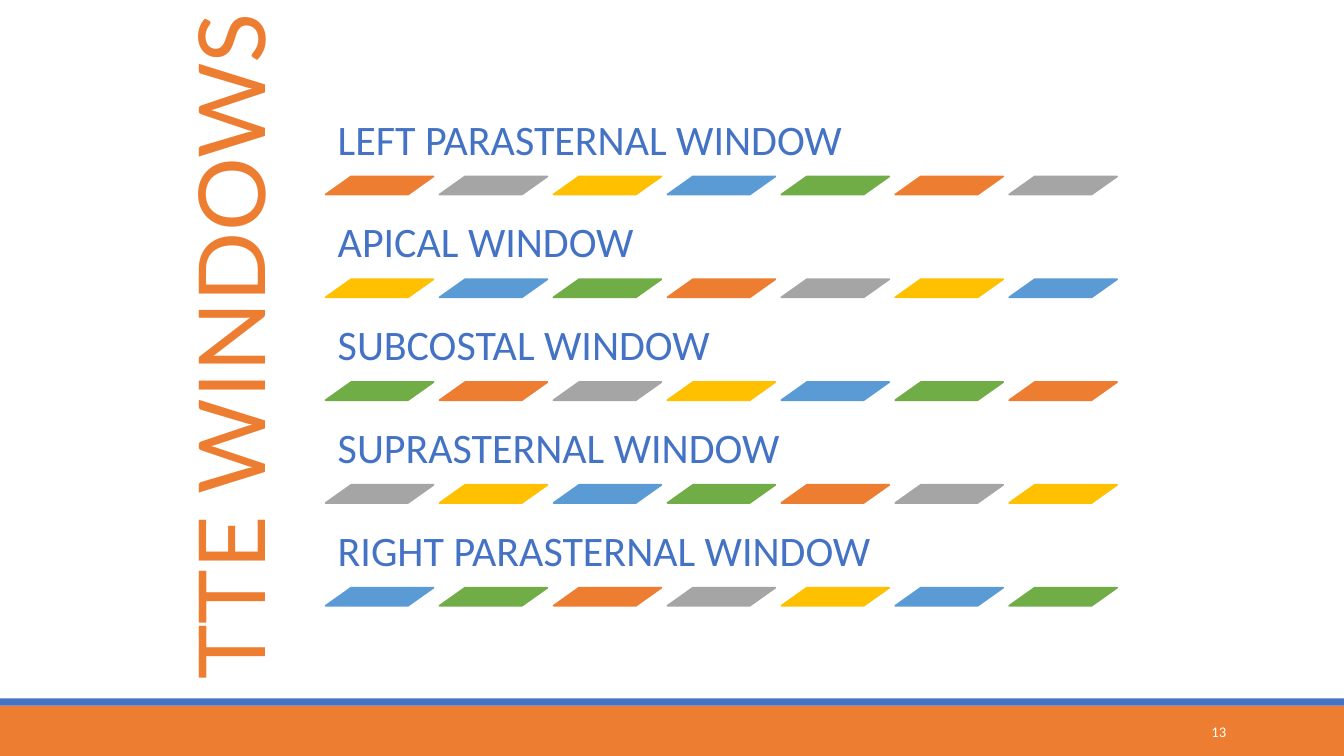
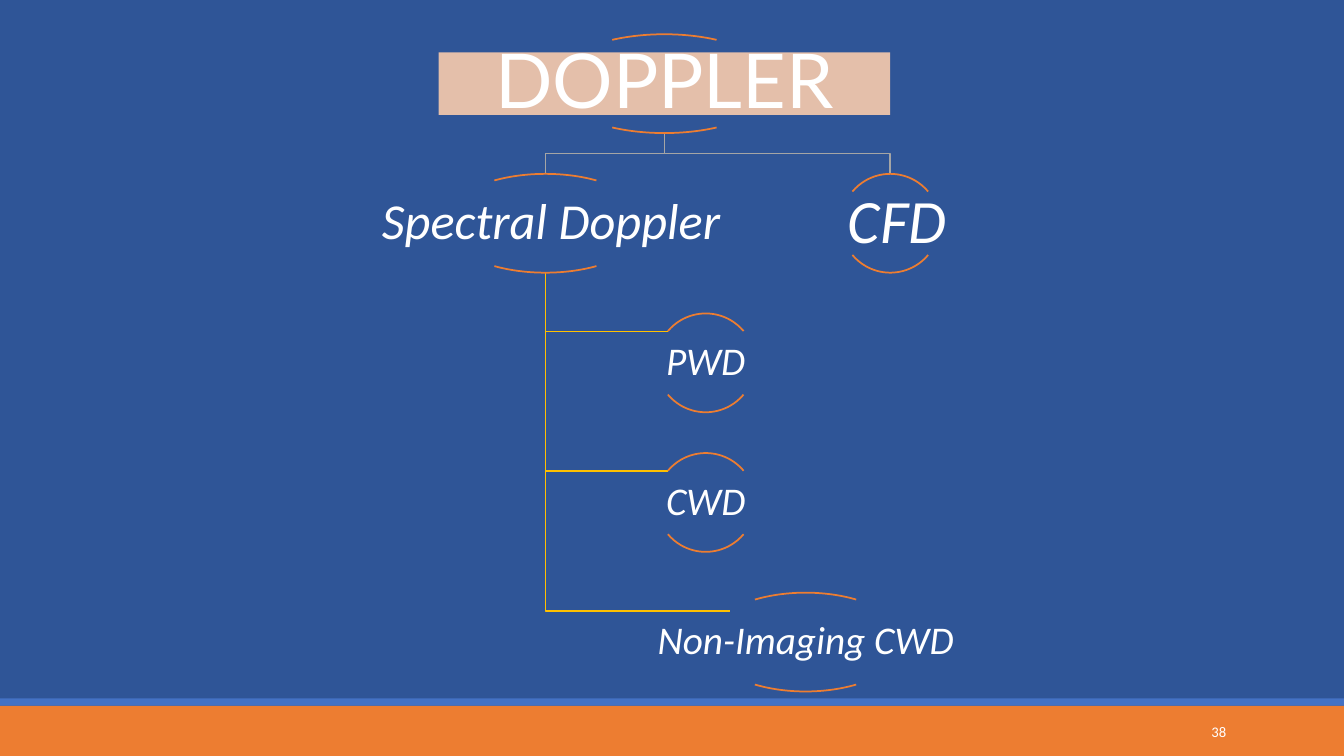
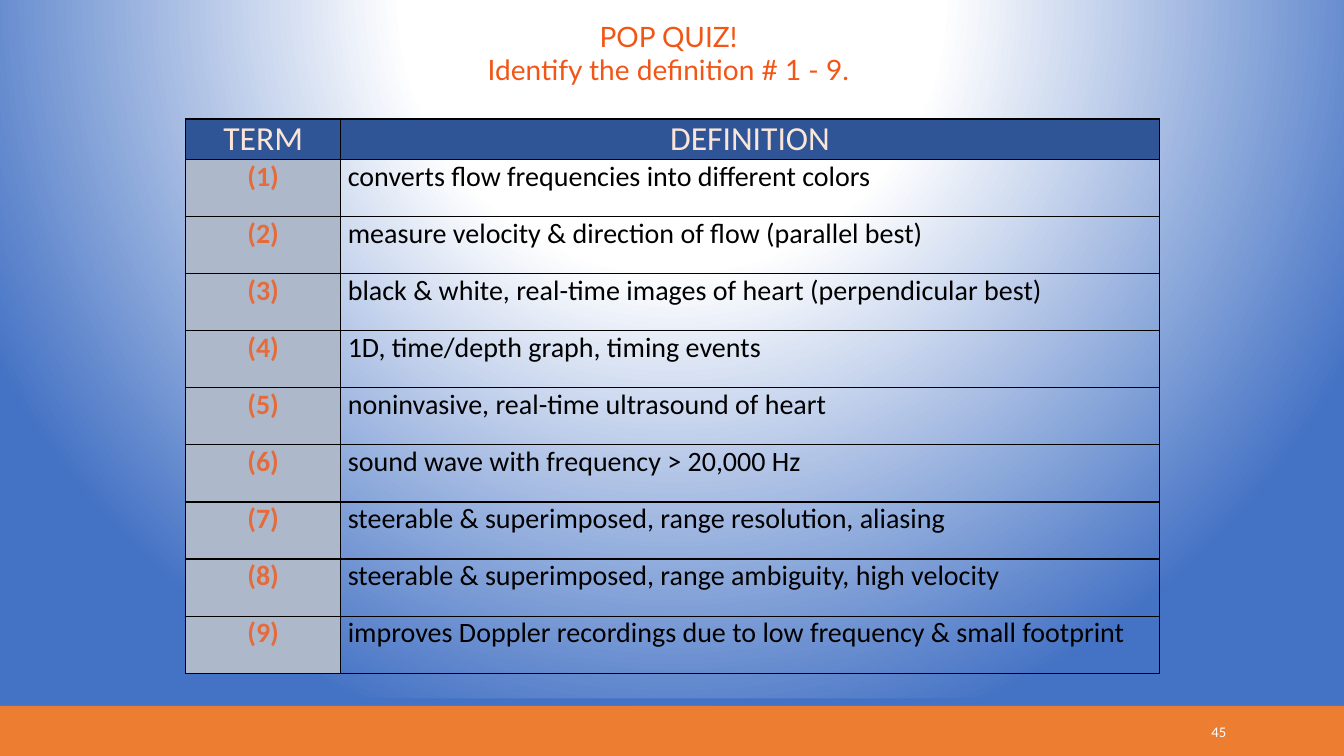
from dataclasses import dataclass

from pptx import Presentation
from pptx import util as u
from pptx.dml.color import RGBColor
from pptx.enum import shapes, text
from pptx.oxml import parse_xml
from pptx.oxml.ns import nsdecls, qn

PRESET = shapes.MSO_SHAPE
ALIGN = text.PP_ALIGN
ANCHOR = text.MSO_ANCHOR


@dataclass(frozen=True)
class Theme:
    # Colours
    white: str = "FFFFFF"
    black: str = "000000"
    orange: str = "ED7D31"
    gray: str = "A5A5A5"
    yellow: str = "FFC000"
    sky: str = "5B9BD5"
    green: str = "70AD47"
    blue: str = "4472C4"
    navy: str = "2F5597"
    peach: str = "F8CBAD"
    cream: str = "FBE5D6"
    slate: str = "ADB9CA"
    term: str = "E66B3A"
    quiz: str = "F25516"
    # Fonts and type sizes
    title_font: str = "Lato"
    body_font: str = "Calibri"
    title: float = 66
    root: float = 54
    window: float = 30
    leaf: float = 28
    table_head: float = 24
    table_body: float = 20
    quiz_title: float = 20
    number: float = 10.5
    line: float = 1.25


T = Theme()

WINDOWS = ["LEFT PARASTERNAL WINDOW", "APICAL WINDOW", "SUBCOSTAL WINDOW",
           "SUPRASTERNAL WINDOW", "RIGHT PARASTERNAL WINDOW"]

DEFINITIONS = [
    "converts flow frequencies into different colors",
    "measure velocity & direction of flow (parallel best)",
    "black & white, real-time images of heart (perpendicular best)",
    "1D, time/depth graph, timing events",
    "noninvasive, real-time ultrasound of heart",
    "sound wave with frequency > 20,000 Hz",
    "steerable & superimposed, range resolution, aliasing",
    "steerable & superimposed, range ambiguity, high velocity",
    "improves Doppler recordings due to low frequency & small footprint",
]


# Basic elements

def rgb(value):
    return RGBColor.from_string(value)


def inches(*lengths):
    return [u.Inches(length) for length in lengths]


def apply(target, values):
    for name, value in values.items():
        setattr(target, name, value)


def write(paragraph, words, size, color, font=T.body_font, align=ALIGN.LEFT,
          spacing=None, **emphasis):
    apply(paragraph, {"alignment": align, "line_spacing": spacing})
    run = paragraph.add_run()
    run.text = words
    apply(run.font, {"size": u.Pt(size), "name": font, **emphasis})
    run.font.color.rgb = rgb(color)


def add_text(slide, box, lines, size, color, inset=(0.1, 0.05),
             anchor=ANCHOR.TOP, **style):
    label = slide.shapes.add_textbox(*inches(*box))
    frame = label.text_frame
    across, down = inches(*inset)
    apply(frame, {"word_wrap": True, "vertical_anchor": anchor,
                  "margin_left": across, "margin_right": across,
                  "margin_top": down, "margin_bottom": down})
    for i, words in enumerate(lines):
        paragraph = frame.add_paragraph() if i else frame.paragraphs[0]
        write(paragraph, words, size, color, **style)
    return label


def paint(shape, fill=None, line=None):
    shape.shadow.inherit = False
    if fill:
        shape.fill.solid()
        shape.fill.fore_color.rgb = rgb(fill)
    else:
        shape.fill.background()
    if line:
        shape.line.color.rgb = rgb(line)
        shape.line.width = u.Pt(T.line)
    else:
        shape.line.fill.background()


def add_preset(slide, preset, box, fill=None, line=None, adjust=()):
    shape = slide.shapes.add_shape(preset, *inches(*box))
    for i, value in enumerate(adjust):
        shape.adjustments[i] = value
    paint(shape, fill, line)
    return shape


def add_route(slide, points, color):
    start, *rest = [inches(*point) for point in points]
    builder = slide.shapes.build_freeform(*start)
    builder.add_line_segments(rest, close=False)
    paint(builder.convert_to_shape(), line=color)


# Shared frame of every slide

def new_slide(deck, number, background=None):
    slide = deck.slides.add_slide(deck.slide_layouts[6])
    if background:
        fill = slide.background.fill
        fill.solid()
        fill.fore_color.rgb = rgb(background)
    add_preset(slide, PRESET.RECTANGLE, (0, 7, 13.33, 0.5), T.orange)
    add_preset(slide, PRESET.RECTANGLE, (0, 6.93, 13.33, 0.07), T.blue)
    add_text(slide, (10.83, 7.06, 1.43, 0.4), [str(number)], T.number,
             T.white, anchor=ANCHOR.MIDDLE, align=ALIGN.RIGHT)
    return slide


# Slide of the echo windows

def windows_slide(deck):
    slide = new_slide(deck, 13, T.white)
    accents = [T.orange, T.gray, T.yellow, T.sky, T.green]
    left, pitch, label_height = 3.23, 1.02, 0.73
    for row, window in enumerate(WINDOWS):
        top = pitch * (row + 1)
        add_text(slide, (left, top, 8, label_height), [window], T.window,
                 T.blue, inset=(0.12, 0.12), anchor=ANCHOR.BOTTOM, spacing=0.9)
        for column in range(7):
            accent = accents[(2 * row + column) % len(accents)]
            add_preset(slide, PRESET.PARALLELOGRAM,
                       (left + 1.13 * column, top + label_height, 1.07, 0.18),
                       accent, accent, [1.41])
    title = add_text(slide, (-1.17, 2.83, 6.88, 1.21), ["TTE WINDOWS"],
                     T.title, T.orange, font=T.title_font, align=ALIGN.CENTER)
    title.rotation = 270


# Slide of the Doppler tree

ARC_HEIGHT = 0.98
LABEL_DROP = 0.18


def level_top(level):
    return 0.34 + 1.385 * level


def add_node(slide, words, center, level, arc_width, size, plate=None, **style):
    top = level_top(level)
    for sweep in ((132, 192), (24, 84)):
        add_preset(slide, PRESET.ARC,
                   (center - arc_width / 2, top, arc_width, ARC_HEIGHT),
                   line=T.orange, adjust=sweep)
    box = (center - arc_width, top + LABEL_DROP, 2 * arc_width, 0.62)
    if plate:
        backing = add_preset(slide, PRESET.RECTANGLE, box, plate)
        tint = backing.fill._xPr.find(qn("a:solidFill"))[0]
        tint.append(parse_xml(f'<a:alpha {nsdecls("a")} val="90000"/>'))
    add_text(slide, box, [words], size, T.white, inset=(0.03, 0.03),
             anchor=ANCHOR.MIDDLE, align=ALIGN.CENTER, spacing=0.9, **style)


def doppler_slide(deck):
    slide = new_slide(deck, 38, T.navy)
    root, spectral, color_flow = 6.59, 5.41, 8.83
    root_foot = level_top(0) + ARC_HEIGHT
    spectral_foot = level_top(1) + ARC_HEIGHT
    bend = (root_foot + level_top(1)) / 2
    leaves = [("PWD", 7, 2, 0.98), ("CWD", 7, 3, 0.98),
              ("Non-Imaging CWD", 7.99, 4, 1.97)]

    # Branches
    def branch(center):
        add_route(slide, [(root, root_foot), (root, bend), (center, bend),
                          (center, level_top(1))], T.gray)

    branch(color_flow)
    for _, center, level, arc_width in reversed(leaves):
        joint = level_top(level) + LABEL_DROP
        add_route(slide, [(spectral, spectral_foot), (spectral, joint),
                          (center - 0.38 * arc_width, joint)], T.yellow)
    branch(spectral)

    # Nodes
    add_node(slide, "DOPPLER", root, 0, 2.24, T.root, T.peach,
             font=T.title_font)
    add_node(slide, " Spectral Doppler", spectral, 1, 2.03, 36, italic=True)
    for words, center, level, arc_width in leaves:
        add_node(slide, words, center, level, arc_width, T.leaf, italic=True)
    add_node(slide, " CFD", color_flow, 1, 0.98, 44, italic=True)


# Slide of the quiz table

def glow_background(slide):
    stops = "".join(
        f'<a:gs pos="{place * 1000}"><a:srgbClr val="{color}"/></a:gs>'
        for place, color in ((0, T.white), (35, T.white), (100, T.blue)))
    slide.background.fill.solid()
    solid = slide.element.find(".//" + qn("p:bgPr")).find(qn("a:solidFill"))
    solid.getparent().replace(solid, parse_xml(
        f'<a:gradFill {nsdecls("a")} rotWithShape="1"><a:gsLst>{stops}</a:gsLst>'
        '<a:path path="circle"><a:fillToRect l="50000" t="-80000" r="50000"'
        ' b="180000"/></a:path></a:gradFill>'))


def add_borders(cell, top_width):
    widths = {"lnL": 1, "lnR": 1, "lnT": top_width, "lnB": 1}
    for i, (side, width) in enumerate(widths.items()):
        cell._tc.get_or_add_tcPr().insert(i, parse_xml(
            f'<a:{side} {nsdecls("a")} w="{u.Pt(width)}"><a:solidFill>'
            f'<a:srgbClr val="{T.black}"/></a:solidFill></a:{side}>'))


def fill_cell(cell, words, fill=None, top_width=1, **style):
    across = u.Inches(0.07)
    apply(cell, {"margin_left": across, "margin_right": across,
                 "margin_top": 0, "margin_bottom": 0})
    if fill:
        cell.fill.solid()
        cell.fill.fore_color.rgb = rgb(fill)
    else:
        cell.fill.background()
    add_borders(cell, top_width)
    write(cell.text_frame.paragraphs[0], words, **style)


def quiz_slide(deck):
    slide = new_slide(deck, 45)
    glow_background(slide)
    head_height, row_height = 0.4, 5.1 / len(DEFINITIONS)
    quiz = slide.shapes.add_table(len(DEFINITIONS) + 1, 2,
                                  *inches(1.84, 1.18, 9.66, 5.5)).table
    apply(quiz, {"first_row": False, "horz_banding": False})
    for column, width in zip(quiz.columns, (1.54, 8.12)):
        column.width = u.Inches(width)
    for i, row in enumerate(quiz.rows):
        row.height = u.Inches(row_height if i else head_height)

    for column, heading in enumerate(("TERM", "DEFINITION")):
        fill_cell(quiz.cell(0, column), heading, T.navy, 1.5,
                  size=T.table_head, color=T.cream, align=ALIGN.CENTER)
    for i, definition in enumerate(DEFINITIONS, 1):
        fill_cell(quiz.cell(i, 0), f"({i})", T.slate, size=T.table_body,
                  color=T.term, align=ALIGN.CENTER, bold=True)
        fill_cell(quiz.cell(i, 1), definition, size=T.table_body,
                  color=T.black)

    add_text(slide, (1.84, 0.14, 9.58, 0.77),
             ["POP QUIZ!", "Identify the definition # 1 - 9."], T.quiz_title,
             T.quiz, font=T.title_font, align=ALIGN.CENTER)


def main():
    deck = Presentation()
    apply(deck, {"slide_width": u.Inches(13.33), "slide_height": u.Inches(7.5)})
    windows_slide(deck)
    doppler_slide(deck)
    quiz_slide(deck)
    deck.save("out.pptx")


if __name__ == "__main__":
    main()
